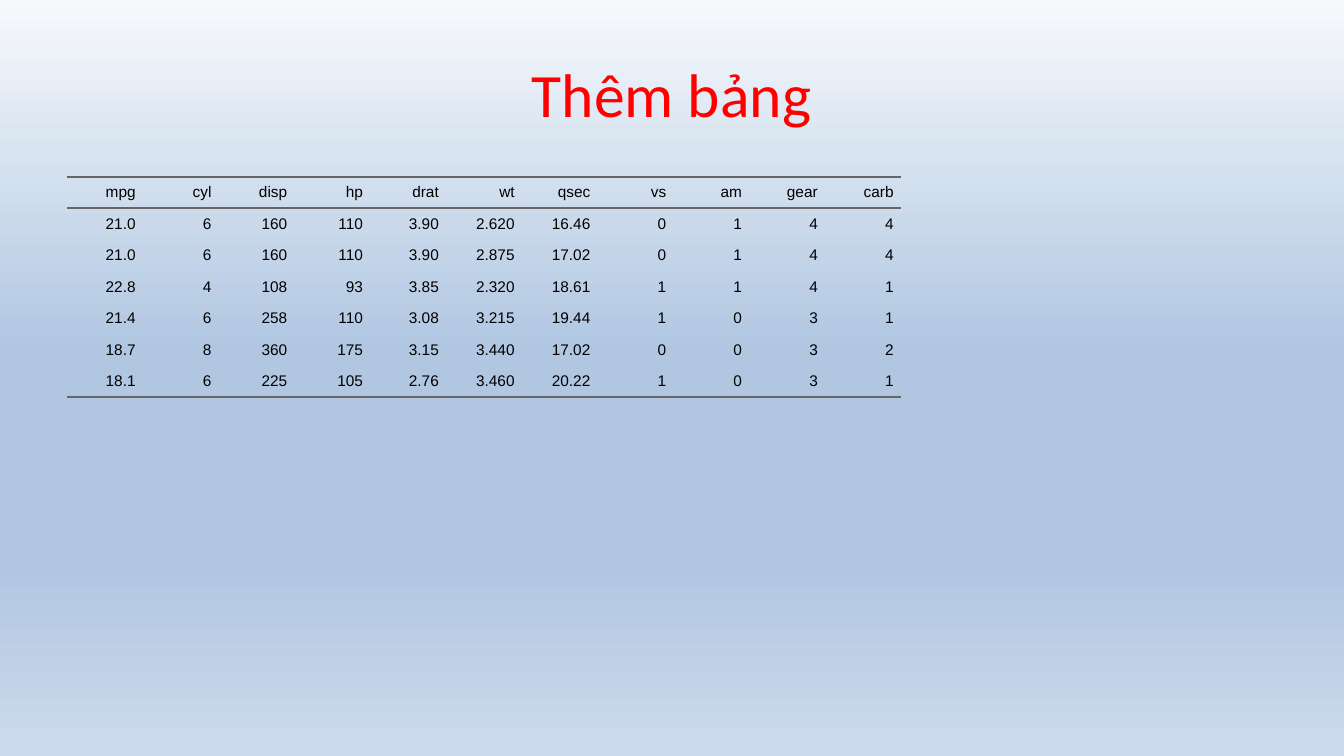
from copy import deepcopy

from lxml import etree
from pptx import Presentation
from pptx import util as u
from pptx.dml.color import RGBColor
from pptx.enum import text
from pptx.oxml import ns

RULE_COLOUR = "666666"
NO_STYLE = "{2D5ABB26-0587-4C30-8999-92F81FD0307C}"
BACKGROUND = [(0, "F6F9FC"), (0.47, "B0C6E1"), (0.74, "B0C6E1"), (0.98, "CAD9EB")]
CARS = [
    ["mpg", "cyl", "disp", "hp", "drat", "wt", "qsec", "vs", "am", "gear", "carb"],
    ["21.0", "6", "160", "110", "3.90", "2.620", "16.46", "0", "1", "4", "4"],
    ["21.0", "6", "160", "110", "3.90", "2.875", "17.02", "0", "1", "4", "4"],
    ["22.8", "4", "108", "93", "3.85", "2.320", "18.61", "1", "1", "4", "1"],
    ["21.4", "6", "258", "110", "3.08", "3.215", "19.44", "1", "0", "3", "1"],
    ["18.7", "8", "360", "175", "3.15", "3.440", "17.02", "0", "0", "3", "2"],
    ["18.1", "6", "225", "105", "2.76", "3.460", "20.22", "1", "0", "3", "1"],
]


def colour(value):
    return RGBColor.from_string(value)


def add_span(para, words, font, size, shade):
    span = para.add_run()
    span.text = words
    span.font.name = font
    span.font.size = u.Pt(size)
    span.font.color.rgb = colour(shade)


def paint_background(page, stops):
    fill = page.background.fill
    fill.gradient()
    fill.gradient_angle = 270
    stop_list = page.element.xpath(".//p:bg//a:gsLst")[0]
    while len(stop_list) < len(stops):
        stop_list.append(deepcopy(stop_list[0]))
    for stop, (position, shade) in zip(fill.gradient_stops, stops):
        stop.position = position
        stop.color.rgb = colour(shade)


def set_title(page, words):
    box = page.shapes.title
    box.left, box.top = u.Cm(1.69), u.Cm(0.76)
    box.width, box.height = u.Cm(30.48), u.Cm(3.18)
    box.text_frame.vertical_anchor = text.MSO_ANCHOR.MIDDLE
    para = box.text_frame.paragraphs[0]
    para.alignment = text.PP_ALIGN.CENTER
    add_span(para, words, "Calibri", 44, "FF0000")


def rule_cell(cell, sides):
    """Draw borders on the given sides, named lnT and lnB, in that order."""
    properties = cell._tc.get_or_add_tcPr()
    for index, side in enumerate(sides):
        line = etree.Element(ns.qn(f"a:{side}"), w=str(u.Pt(1.5)))
        fill = etree.SubElement(line, ns.qn("a:solidFill"))
        etree.SubElement(fill, ns.qn("a:srgbClr"), val=RULE_COLOUR)
        properties.insert(index, line)


def fill_cell(cell, words):
    cell.fill.background()
    cell.vertical_anchor = text.MSO_ANCHOR.MIDDLE
    cell.margin_left = cell.margin_right = 0
    cell.margin_top = cell.margin_bottom = u.Cm(0.18)
    para = cell.text_frame.paragraphs[0]
    para.alignment = text.PP_ALIGN.RIGHT
    para.space_before = para.space_after = u.Pt(5)
    indents = para._p.get_or_add_pPr()
    for name in ("marL", "marR"):
        indents.set(name, str(u.Cm(0.18)))
    add_span(para, words, "Arial", 11, "000000")


def add_ruled_table(page, rows, left, top, column_width, row_height):
    row_count, column_count = len(rows), len(rows[0])
    frame = page.shapes.add_table(
        row_count, column_count, left, top,
        column_width * column_count, row_height * row_count)
    table = frame.table
    table.first_row = table.horz_banding = False
    table._tbl.tblPr.find(ns.qn("a:tableStyleId")).text = NO_STYLE
    ruled_sides = {0: ["lnT", "lnB"], row_count - 1: ["lnB"]}
    for row_index, row in enumerate(rows):
        for column_index, words in enumerate(row):
            cell = table.cell(row_index, column_index)
            fill_cell(cell, words)
            rule_cell(cell, ruled_sides.get(row_index, []))


def main():
    deck = Presentation()
    deck.slide_width, deck.slide_height = u.Cm(33.87), u.Cm(19.05)
    page = deck.slides.add_slide(deck.slide_layouts[5])
    paint_background(page, BACKGROUND)
    set_title(page, "Thêm bảng")
    add_ruled_table(page, CARS, u.Cm(1.69), u.Cm(4.45), u.Cm(1.91), u.Cm(0.64))
    deck.save("out.pptx")


if __name__ == "__main__":
    main()
